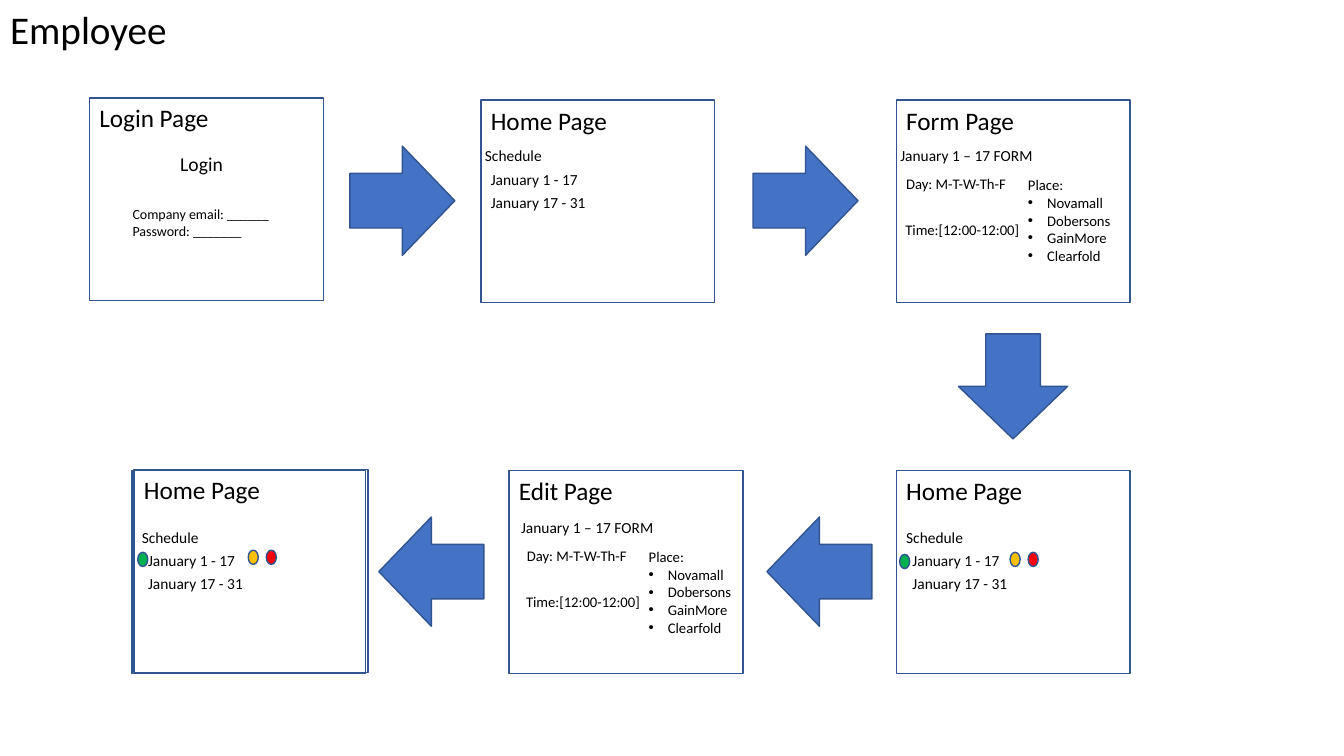
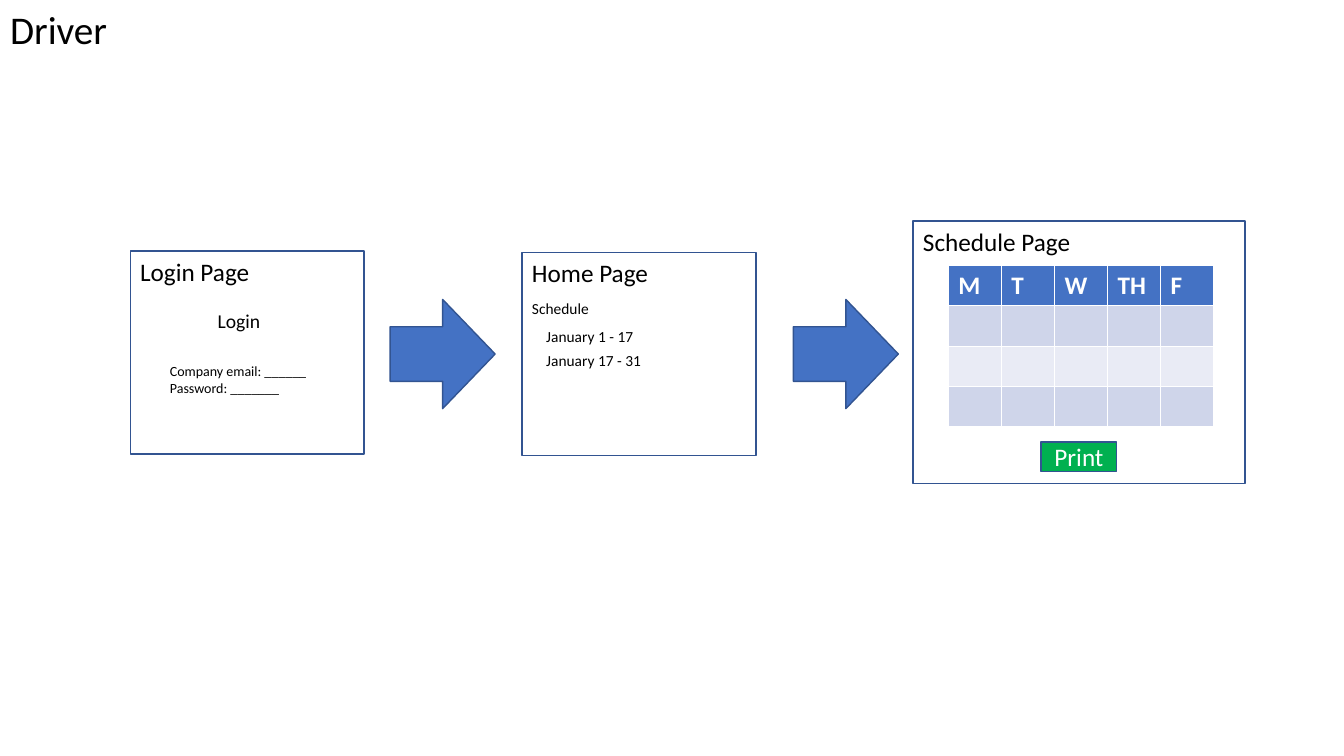
import pptx
import pptx.util
import pptx.dml.color
import pptx.enum.shapes
import pptx.enum.text
import pptx.oxml
import pptx.oxml.ns

COLOR = {"text": "000000", "white": "FFFFFF", "blue": "4472C4", "edge": "325491",
         "green": "00B050", "amber": "FFC000", "red": "FF0000",
         "band": "CFD5EA", "pale": "E9EBF5"}
FONT = "Calibri"
SHAPE = pptx.enum.shapes.MSO_SHAPE
ALIGN = pptx.enum.text.PP_ALIGN
ANCHOR = pptx.enum.text.MSO_ANCHOR
FIT = pptx.enum.text.MSO_AUTO_SIZE
CELL = pptx.util.Inches(7.5) / 90
PAGE_SIZE = (27.85, 24.15)
ARROW_SIZE = (12.5, 13)
DOT_SIZE = (1.2, 1.7)
PERIODS = ("January 1 - 17", "January 17 - 31")
PLACES = ("Novamall", "Dobersons", "GainMore", "Clearfold")


def rgb(name):
    """Return the named colour."""
    return pptx.dml.color.RGBColor.from_string(COLOR[name])


def grid(*cells):
    """Turn grid cells into lengths."""
    return [pptx.util.Emu(round(c * CELL)) for c in cells]


def move(at, dx, dy):
    """Return a point moved by columns and rows."""
    return at[0] + dx, at[1] + dy


def write(tf, lines, size, color="text", align=ALIGN.LEFT, **frame):
    """Fill a text frame with one paragraph per line."""
    for name, value in {"word_wrap": True, "vertical_anchor": ANCHOR.TOP, **frame}.items():
        setattr(tf, name, value)
    for i, line in enumerate(lines):
        p = tf.paragraphs[0] if i == 0 else tf.add_paragraph()
        p.alignment = align
        r = p.add_run()
        r.text = line
        for name, value in {"name": FONT, "size": pptx.util.Pt(size)}.items():
            setattr(r.font, name, value)
        r.font.color.rgb = rgb(color)


def add_text(slide, at, size, lines, pt, **style):
    """Add a text box and return its frame."""
    tf = slide.shapes.add_textbox(*grid(*at, *size)).text_frame
    write(tf, lines, pt, auto_size=FIT.SHAPE_TO_FIT_TEXT, **style)
    return tf


def add_shape(slide, kind, at, size, fill=None):
    """Add an outlined shape, filled if a colour is named."""
    sp = slide.shapes.add_shape(kind, *grid(*at, *size))
    sp.shadow.inherit = False
    sp.line.color.rgb = rgb("edge")
    sp.line.width = pptx.util.Pt(1)
    if fill:
        sp.fill.solid()
        sp.fill.fore_color.rgb = rgb(fill)
    else:
        sp.fill.background()
    return sp


def add_bullet(p):
    """Give a paragraph a hanging bullet."""
    pPr = p._p.get_or_add_pPr()
    indent = pptx.util.Inches(0.19)
    pPr.set("marL", str(indent))
    pPr.set("indent", str(-indent))
    ns = pptx.oxml.ns.nsdecls("a")
    pPr.append(pptx.oxml.parse_xml(f'<a:buFont {ns} typeface="Arial"/>'))
    pPr.append(pptx.oxml.parse_xml(f'<a:buChar {ns} char="•"/>'))


def add_arrow(slide, at, rotation=0):
    """Add a block arrow."""
    add_shape(slide, SHAPE.RIGHT_ARROW, at, ARROW_SIZE, "blue").rotation = rotation


def add_page(slide, at, title="", size=PAGE_SIZE):
    """Add a page frame with its heading."""
    sp = add_shape(slide, SHAPE.RECTANGLE, at, size)
    if title:
        write(sp.text_frame, [title], 18)


def login_page(slide, at, shift=(0, 0)):
    """Draw the login page."""
    add_page(slide, at, "Login Page")
    inner = move(at, *shift)
    add_text(slide, move(inner, 7.7, 5.9), (11.3, 4.1), ["Login"], 14, align=ALIGN.CENTER)
    add_text(slide, move(inner, 3.95, 12.25), (22.4, 5.3),
             ["Company email: ______", "Password: _______"], 10)


def home_page(slide, at, heading, items, title="Home Page"):
    """Draw the home page with its list of periods."""
    add_page(slide, at, title)
    add_text(slide, move(at, *heading), (18, 3.5), ["Schedule"], 11)
    for i, period in enumerate(PERIODS):
        add_text(slide, move(at, items[0], items[1] + 2.75 * i), (24.5, 3.5), [period], 11)


def status_page(slide, at, title="Home Page", shift=(0, 0)):
    """Draw the home page with status dots."""
    home_page(slide, at, (0, 6.25), (0.75, 8.95), title)
    for color, dx, dy in (("green", 0.4, 9.95), ("amber", 13.55, 9.7), ("red", 15.7, 9.7)):
        add_shape(slide, SHAPE.OVAL, move(move(at, dx, dy), *shift), DOT_SIZE, color)


def form_page(slide, at, title, shift=(0, 0)):
    """Draw a page with the schedule form."""
    add_page(slide, at, title)
    inner = move(at, *shift)
    add_text(slide, move(inner, -0.7, 4.9), (28.5, 3.5), ["January 1 – 17 FORM"], 11)
    add_text(slide, move(inner, 0, 8.3), (17, 5.4), ["Day: M-T-W-Th-F"], 10.5)
    add_text(slide, move(inner, -0.1, 13.8), (17, 5.4), ["Time:[12:00-12:00]"], 10.5)
    tf = add_text(slide, move(inner, 14.5, 8.5), (14, 11.8), ["Place:", *PLACES], 10.5)
    for p in tf.paragraphs[1:]:
        add_bullet(p)


def schedule_page(slide, at):
    """Draw the weekly table and its print button."""
    add_page(slide, at, "Schedule Page", (39.5, 31.3))
    days = ("M", "T", "W", "TH", "F")
    fills = ("blue", "band", "pale", "band")
    box = grid(*move(at, 4.2, 5.3), 31.6, 19.2)
    table = slide.shapes.add_table(len(fills), len(days), *box).table
    for row, fill in zip(table.rows, fills):
        for cell in row.cells:
            cell.fill.solid()
            cell.fill.fore_color.rgb = rgb(fill)
    for cell, day in zip(table.rows[0].cells, days):
        write(cell.text_frame, [day], 18, "white")
        cell.text_frame.paragraphs[0].runs[0].font.bold = True
    sp = add_shape(slide, SHAPE.RECTANGLE, move(at, 15.25, 26.3), (9, 3.5), "green")
    write(sp.text_frame, ["Print"], 18, "white", ALIGN.CENTER, vertical_anchor=ANCHOR.MIDDLE)


def new_slide(prs, title):
    """Add a slide with its title in the top left corner."""
    slide = prs.slides.add_slide(prs.slide_layouts[5])
    sp = slide.shapes.title
    for name, value in zip(("left", "top", "width", "height"), grid(0, 0, 36.7, 6.85)):
        setattr(sp, name, value)
    write(sp.text_frame, [title], 28, auto_size=FIT.NONE)
    return slide


def employee_slide(prs):
    """Build the employee flow."""
    slide = new_slide(prs, "Employee")
    left, right, top, bottom = 15.7, 106.7, 11.9, 56.05
    login_page(slide, (10.65, 11.65))
    home_page(slide, (57.25, top), (-0.7, 4.9), (0, 7.7))
    form_page(slide, (right, top), "Form Page")
    status_page(slide, (right, bottom))
    form_page(slide, (60.6, bottom), "Edit Page", (0.95, 0.1))
    add_page(slide, (left + 0.25, bottom - 0.15), "Home Page")
    status_page(slide, (left, bottom), "", (0.3, -0.25))
    for x, y, rotation in ((41.65, 17.4, 0), (89.65, 17.4, 0), (114.35, 39.5, 90),
                           (91.3, 61.55, 180), (45.1, 61.55, 180)):
        add_arrow(slide, (x, y), rotation)


def driver_slide(prs):
    """Build the driver flow."""
    slide = new_slide(prs, "Driver")
    login_page(slide, (15.5, 29.9), (-0.4, 0.4))
    home_page(slide, (62.15, 30.1), (0, 4.9), (1.7, 8.3))
    schedule_page(slide, (108.7, 26.3))
    for x in (46.45, 94.45):
        add_arrow(slide, (x, 35.65))


prs = pptx.Presentation()
prs.slide_width, prs.slide_height = grid(160, 90)
employee_slide(prs)
driver_slide(prs)
prs.save("out.pptx")
